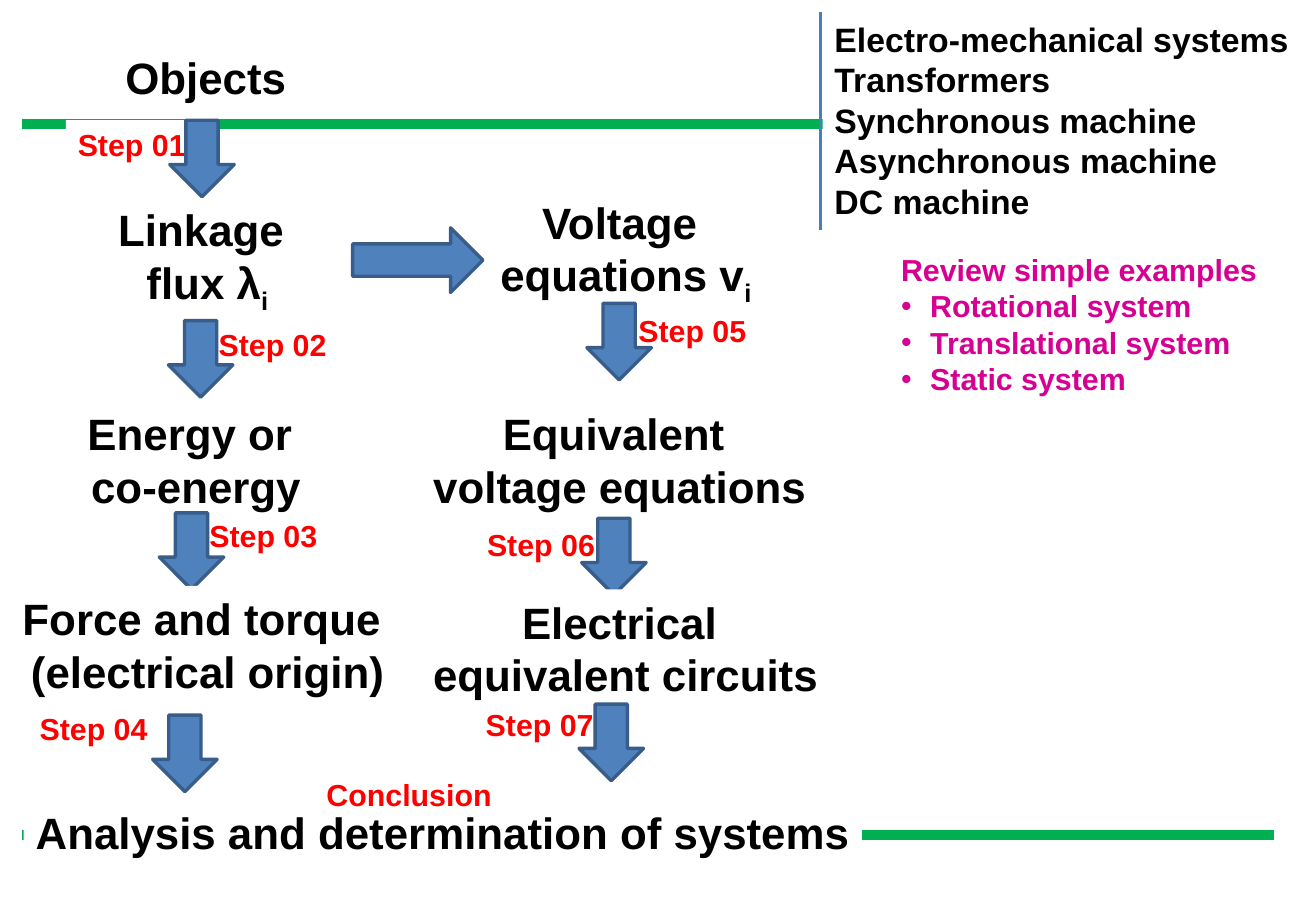
from lxml.etree import SubElement as Sub
from pptx import Presentation
from pptx.dml.color import RGBColor as Rgb
from pptx.enum.shapes import MSO_CONNECTOR as Link, MSO_SHAPE as Form
from pptx.enum.text import MSO_ANCHOR as Anchor, MSO_AUTO_SIZE as Fit, PP_ALIGN as Align
from pptx.oxml.ns import qn
from pptx.util import Inches, Pt

WIDE, HIGH = 10.84, 7.5
HUES = {"ink": "000000", "paper": "FFFFFF", "rule": "00B050", "edge": "4A7EBB",
        "arrow": "4F81BD", "rim": "385D8A", "step": "FF0000", "note": "D60093"}
DOWN, LABEL = (4.9, 8.4), (10.1, 5.3)
STAGES = [
    ((8.1, 21.6, 15.3, 13.7), ["Linkage \nflux λ_i"], (12.8, 35.2)),
    ((5.7, 44, 18.4, 12.9), ["Energy or \nco-energy"], (12.1, 56.3)),
    ((0.8, 64.3, 30, 12.9), ["Force and torque ", "(electrical origin)"], (11.6, 78.5)),
    ((37.1, 20.8, 20.9, 13.7), ["Voltage \nequations v_i"], (44.6, 33.3)),
    ((32, 44, 30.2, 12.9), ["Equivalent \nvoltage equations"], (44.2, 56.9)),
    ((32, 64.7, 31.1, 12.9), ["Electrical \nequivalent circuits"], (44, 77.3)),
]
STEPS = [(5, 13.2), (15.7, 35.2), (15, 56.1), (2.1, 77.3),
         (47.6, 33.6), (36.1, 57.1), (36, 76.9)]
SYSTEMS = ["Electro-mechanical systems", "Transformers", "Synchronous machine",
           "Asynchronous machine", "DC machine"]
REVIEW = ["Review simple examples", "Rotational system", "Translational system",
          "Static system"]


def hue(name):
    """Return a named colour."""
    return Rgb.from_string(HUES[name])


def area(left, top, *size):
    """Turn percentages of the slide into lengths, across and down in turn."""
    return [Inches(part * side / 100)
            for part, side in zip((left, top, *size), (WIDE, HIGH) * 2)]


def paint(shape, tint):
    """Fill a shape with one colour."""
    shape.fill.solid()
    shape.fill.fore_color.rgb = hue(tint)


def place(shape, at):
    """Move a placeholder to a spot on the slide and make it white."""
    shape.left, shape.top, shape.width, shape.height = area(*at)
    paint(shape, "paper")


def add_run(para, text, size, tint, low=False):
    """Add one bold run, lowered when it is an index."""
    run = para.add_run()
    run.text = text
    font = run.font
    font.name, font.size, font.bold = "Arial", Pt(size), True
    font.color.rgb = hue(tint)
    if low:
        run._r.get_or_add_rPr().set("baseline", "-25000")


def set_list(para, mark):
    """Set a hanging bullet, or none."""
    props = para._p.get_or_add_pPr()
    hang = Inches(0.24) if mark else 0
    props.set("marL", str(hang))
    props.set("indent", str(-hang))
    if mark:
        Sub(props, qn("a:buFont"), typeface="Arial")
        Sub(props, qn("a:buChar"), char="•")
    else:
        Sub(props, qn("a:buNone"))


def write(shape, lines, size, tint, align=Align.LEFT, marks=()):
    """Fill a shape with paragraphs; an underscore starts an index."""
    frame = shape.text_frame
    frame.word_wrap, frame.auto_size = False, Fit.NONE
    frame.vertical_anchor = Anchor.TOP
    centred = align == Align.CENTER
    frame.margin_left = 0 if centred else Inches(0.1)
    frame.margin_right = 0
    frame.margin_top = frame.margin_bottom = Inches(0.05)
    for num, line in enumerate(lines):
        para = frame.paragraphs[0] if num == 0 else frame.add_paragraph()
        para.alignment, para.line_spacing = align, 1.0
        para.space_before = para.space_after = Pt(0)
        set_list(para, num in marks)
        for row, part in enumerate(line.split("\n")):
            if row:
                para.add_line_break()
            base, _, index = part.partition("_")
            add_run(para, base, size, tint)
            if index:
                add_run(para, index, size, tint, True)
    frame.word_wrap = True


def add_box(slide, at, lines, size=26, tint="ink", align=Align.LEFT):
    """Add a white box with text."""
    box = slide.shapes.add_shape(Form.RECTANGLE, *area(*at))
    box.shadow.inherit = False
    paint(box, "paper")
    box.line.fill.background()
    write(box, lines, size, tint, align)


def add_label(slide, at, text):
    """Add a red label without fill."""
    write(slide.shapes.add_textbox(*area(*at)), [text], 18, "step")


def add_arrow(slide, at, form=Form.DOWN_ARROW):
    """Add a block arrow."""
    arrow = slide.shapes.add_shape(form, *area(*at))
    arrow.shadow.inherit = False
    paint(arrow, "arrow")
    arrow.line.color.rgb = hue("rim")
    arrow.line.width = Pt(2)


def add_line(slide, start, end, tint, width):
    """Add a straight line."""
    line = slide.shapes.add_connector(Link.STRAIGHT, *area(*start), *area(*end))
    line.line.color.rgb = hue(tint)
    line.line.width = Pt(width)
    Sub(line._element.spPr, qn("a:effectLst"))


def main():
    """Build and save the slide."""
    deck = Presentation()
    deck.slide_width, deck.slide_height = Inches(WIDE), Inches(HIGH)
    slide = deck.slides.add_slide(deck.slide_layouts[1])
    title, body = slide.placeholders
    place(title, (8.6, 4.9, 14, 7.2))
    write(title, ["Objects"], 26, "ink")
    place(body, (67.55, 26.9, 28.9, 17.3))
    write(body, REVIEW, 18, "note", marks=(1, 2, 3))

    add_line(slide, (1.7, 13.65), (88.2, 13.65), "rule", 6)
    add_line(slide, (1.7, 91.7), (96.8, 91.7), "rule", 6)
    add_box(slide, (62.5, 1.4, 36.3, 23.6), SYSTEMS, 20)
    add_line(slide, (62.35, 1.3), (62.35, 25.2), "edge", 2.25)

    for at, lines, tip in STAGES:
        add_box(slide, at, lines, align=Align.CENTER)
        add_arrow(slide, tip + DOWN)
    add_arrow(slide, (26.8, 25, 9.9, 7.1), Form.RIGHT_ARROW)
    add_box(slide, (1.8, 87.8, 63.7, 7.2), ["Analysis and determination of systems"])

    add_box(slide, STEPS[0] + LABEL, ["Step 01"], 18, "step")
    for num, spot in enumerate(STEPS[1:], 2):
        add_label(slide, spot + LABEL, f"Step {num:02}")
    add_label(slide, (23.9, 84.5, 14.4, 5.3), "Conclusion")
    add_arrow(slide, (12.9, 13.2) + DOWN)
    deck.save("out.pptx")


if __name__ == "__main__":
    main()
